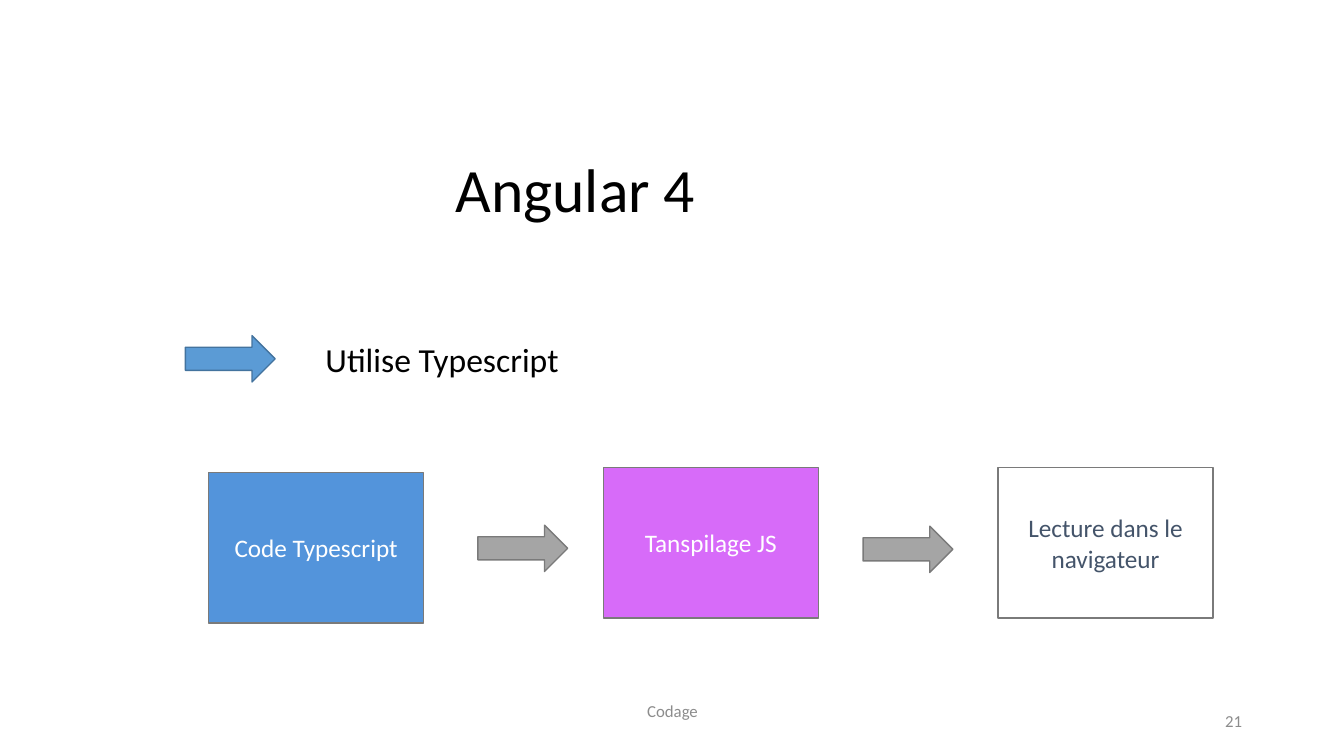
from pptx import Presentation
from pptx.dml.color import RGBColor
from pptx.enum.shapes import MSO_SHAPE as Shape
from pptx.enum.text import MSO_ANCHOR as Anchor, MSO_AUTO_SIZE as AutoSize, PP_ALIGN as Align
from pptx.util import Inches, Pt

WIDTH, HEIGHT = Inches(13.33), Inches(7.5)
FONT = "Calibri"
BLACK, WHITE, GREY, OUTLINE = "000000", "FFFFFF", "8C8C8C", "7A7A7A"
ARROW_SIZE = (6.68, 6.13)
STEP_SIZE = (15.98, 19.87)
STEP_LEFT, STEP_PITCH = 15.53, 29.37
STEPS = [
    ("Code Typescript", 62.53, "5394DB", WHITE),
    ("Tanspilage JS", 61.87, "D76BF9", WHITE),
    ("Lecture dans le navigateur", 61.87, WHITE, "44546A"),
]
STEP_ARROWS = [(35.56, 69.47), (64.22, 69.6)]


def color(value):
    return RGBColor.from_string(value)


def area(left, top, width, height):
    return (int(WIDTH * left / 100), int(HEIGHT * top / 100),
            int(WIDTH * width / 100), int(HEIGHT * height / 100))


def write(shape, text, size, text_color, align=Align.LEFT, anchor=Anchor.MIDDLE):
    frame = shape.text_frame
    frame.word_wrap = True
    frame.auto_size = AutoSize.NONE
    frame.vertical_anchor = anchor
    paragraph = frame.paragraphs[0]
    paragraph.alignment = align
    run = paragraph.add_run()
    run.text = text
    run.font.name = FONT
    run.font.size = Pt(size)
    run.font.color.rgb = color(text_color)
    return paragraph


def add_title(slide, text, box):
    title = slide.shapes.title
    title.left, title.top, title.width, title.height = area(*box)
    write(title, text, 44, BLACK).line_spacing = 0.9


def add_label(slide, text, box, size, text_color, align=Align.LEFT, anchor=Anchor.MIDDLE):
    write(slide.shapes.add_textbox(*area(*box)), text, size, text_color, align, anchor)


def add_figure(slide, kind, box, fill, outline=OUTLINE):
    shape = slide.shapes.add_shape(kind, *area(*box))
    shape.shadow.inherit = False
    shape.fill.solid()
    shape.fill.fore_color.rgb = color(fill)
    shape.line.color.rgb = color(outline)
    shape.line.width = Pt(1)
    return shape


def main():
    presentation = Presentation()
    presentation.slide_width, presentation.slide_height = WIDTH, HEIGHT
    slide = presentation.slides.add_slide(presentation.slide_layouts[5])

    add_title(slide, "Angular 4", (33.16, 15.87, 23.56, 19.33))
    add_figure(slide, Shape.RIGHT_ARROW, (13.8, 44.4, *ARROW_SIZE), "5B9BD5", "43739E")
    add_label(slide, "Utilise Typescript", (23.48, 44.13, 21.46, 6.67), 24, BLACK, anchor=Anchor.TOP)

    for index, (text, top, fill, text_color) in enumerate(STEPS):
        box = (STEP_LEFT + index * STEP_PITCH, top, *STEP_SIZE)
        step = add_figure(slide, Shape.RECTANGLE, box, fill)
        write(step, text, 18, text_color, Align.CENTER)
    for left, top in STEP_ARROWS:
        add_figure(slide, Shape.RIGHT_ARROW, (left, top, *ARROW_SIZE), "A5A5A5")

    add_label(slide, "Codage", (33.16, 91.33, 33.76, 5.33), 12, GREY, Align.CENTER)
    add_label(slide, "21", (70.67, 92.67, 22.5, 5.33), 12, GREY, Align.RIGHT)
    presentation.save("out.pptx")


if __name__ == "__main__":
    main()
